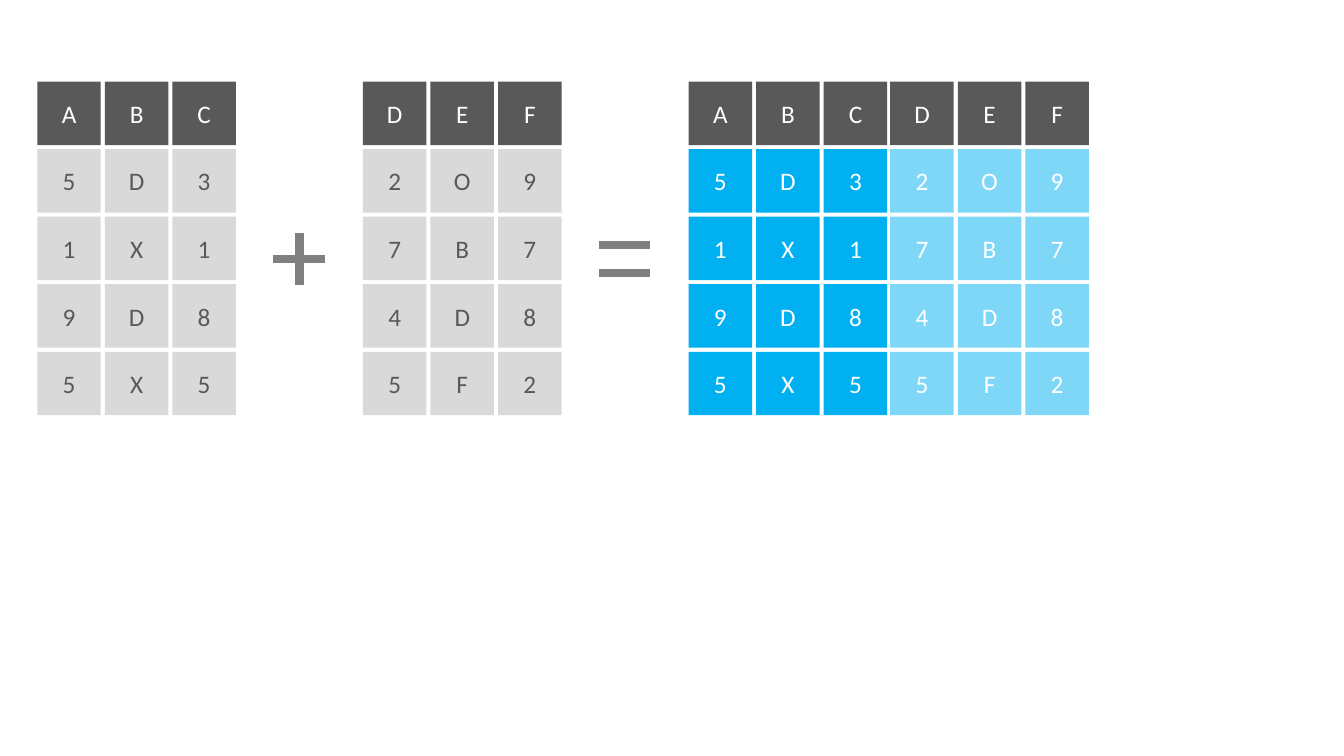
from dataclasses import dataclass

from lxml.etree import SubElement
from pptx import Presentation
from pptx.dml.color import RGBColor as Color
from pptx.enum.shapes import MSO_CONNECTOR as Connector, MSO_SHAPE as Shape
from pptx.enum.text import MSO_ANCHOR as Anchor, PP_ALIGN as Align
from pptx.oxml.ns import qn
from pptx.util import Inches, Pt


@dataclass(frozen=True)
class Theme:
    font: str = "Calibri"
    text_size: int = 18
    sign_width: int = 6
    dark: str = "595959"
    light: str = "D9D9D9"
    white: str = "FFFFFF"
    blue: str = "00B0F0"
    sign: str = "808080"


class SlideBuilder:
    CELL = 0.63
    PITCH = 0.67
    TOP = 0.81

    def __init__(self, slide, theme):
        self.slide = slide
        self.theme = theme

    def cell(self, group, left, top, text, fill, color, opacity=100):
        box = group.shapes.add_shape(
            Shape.RECTANGLE, Inches(left), Inches(top), Inches(self.CELL), Inches(self.CELL)
        )
        box.shadow.inherit = False
        box.line.fill.background()
        box.fill.solid()
        box.fill.fore_color.rgb = Color.from_string(fill)
        if opacity < 100:
            fill_color = next(box.element.spPr.iter(qn("a:srgbClr")))
            SubElement(fill_color, qn("a:alpha"), val=str(opacity * 1000))
        box.text_frame.vertical_anchor = Anchor.MIDDLE
        para = box.text_frame.paragraphs[0]
        para.alignment = Align.CENTER
        span = para.add_run()
        span.text = text
        span.font.name = self.theme.font
        span.font.size = Pt(self.theme.text_size)
        span.font.color.rgb = Color.from_string(color)

    def grid(self, left, rows, fill, color, opacity=100):
        group = self.slide.shapes.add_group_shape()
        for row, letters in enumerate(rows):
            style = (fill, color, opacity) if row else (self.theme.dark, self.theme.white)
            for column, letter in enumerate(letters):
                x = left + column * self.PITCH
                y = self.TOP + row * self.PITCH
                self.cell(group, x, y, letter, *style)

    def sign(self, *strokes):
        group = self.slide.shapes.add_group_shape()
        for stroke in strokes:
            line = group.shapes.add_connector(Connector.STRAIGHT, *map(Inches, stroke))
            line.line.color.rgb = Color.from_string(self.theme.sign)
            line.line.width = Pt(self.theme.sign_width)
            SubElement(line.element.spPr, qn("a:effectLst"))


def main():
    theme = Theme()
    deck = Presentation()
    deck.slide_width = Inches(13.33)
    deck.slide_height = Inches(7.5)
    page = SlideBuilder(deck.slides.add_slide(deck.slide_layouts[6]), theme)

    first = ["ABC", "5D3", "1X1", "9D8", "5X5"]
    second = ["DEF", "2O9", "7B7", "4D8", "5F2"]

    page.grid(0.37, first, theme.light, theme.dark)
    page.sign((2.71, 2.57, 3.22, 2.57), (2.97, 2.83, 2.97, 2.31))
    page.grid(3.6, second, theme.light, theme.dark)
    page.sign((5.94, 2.43, 6.45, 2.43), (5.94, 2.71, 6.45, 2.71))
    page.grid(6.83, first, theme.blue, theme.white)
    page.grid(8.83, second, theme.blue, theme.white, opacity=50)

    deck.save("out.pptx")


if __name__ == "__main__":
    main()
